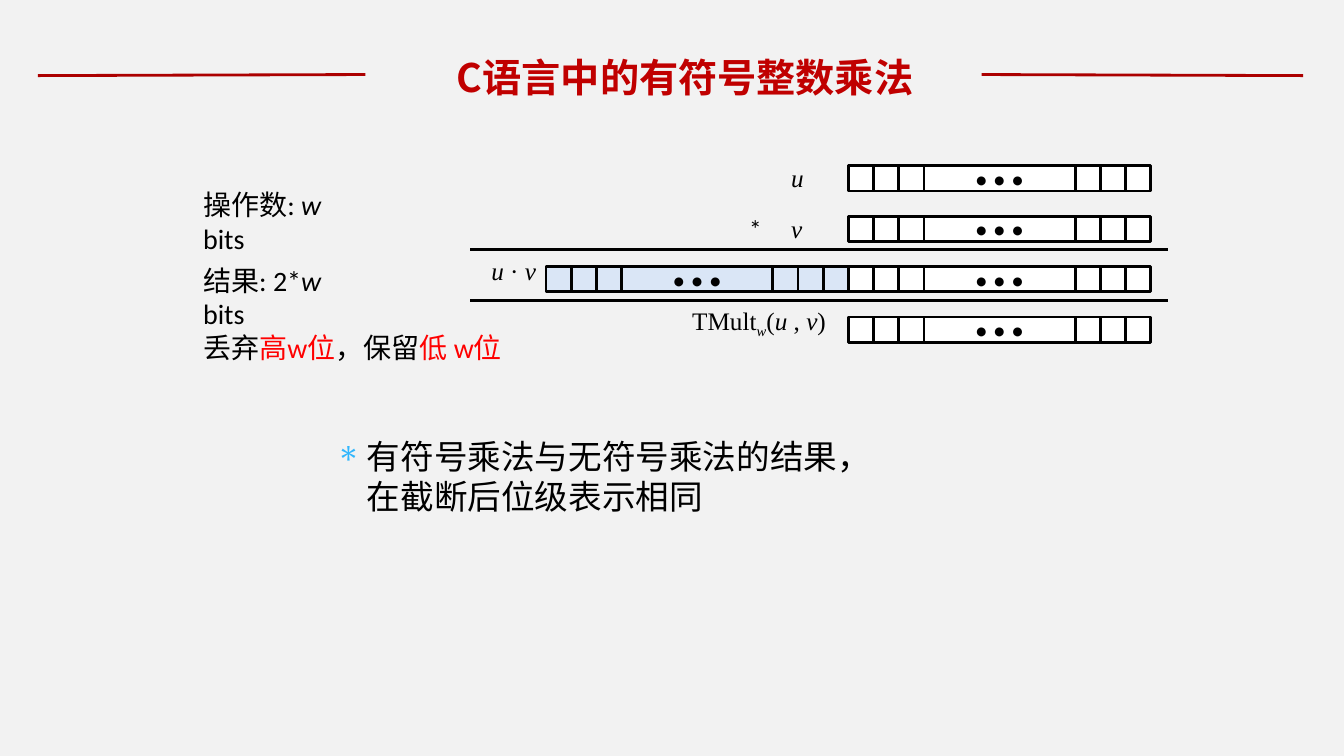
from dataclasses import dataclass

from lxml import etree
from pptx import Presentation
from pptx.dml.color import RGBColor
from pptx.enum.shapes import MSO_CONNECTOR, MSO_SHAPE
from pptx.enum.text import MSO_ANCHOR, PP_ALIGN
from pptx.oxml.ns import qn
from pptx.util import Emu, Pt

LEFT, CENTER, RIGHT = PP_ALIGN.LEFT, PP_ALIGN.CENTER, PP_ALIGN.RIGHT
TOP, MIDDLE = MSO_ANCHOR.TOP, MSO_ANCHOR.MIDDLE
RECTANGLE, STRAIGHT = MSO_SHAPE.RECTANGLE, MSO_CONNECTOR.STRAIGHT
PX = 9525


@dataclass(frozen=True)
class Theme:
    background: str = "F2F2F2"
    title: str = "C00000"
    rule: str = "AC0000"
    ink: str = "000000"
    accent: str = "FF0000"
    bullet: str = "31B6FD"
    low_bits: str = "FFFFFF"
    high_bits: str = "DAE6F6"
    sans: str = "Calibri"
    serif: str = "Times New Roman"
    chinese: str = "Noto Sans CJK SC"
    symbol: str = "Symbol"
    title_size: int = 28
    body_size: int = 24
    note_size: int = 20
    label_size: int = 18
    line_width: int = 2


theme = Theme()


def write(shape, spans, size, font=theme.sans, color=theme.ink, bold=False,
          align=LEFT, anchor=TOP, wrap=False):
    """Fill a shape with spans, each a (text, styles) pair; styles may hold i, sub and red."""
    frame = shape.text_frame
    frame.word_wrap = wrap
    frame.vertical_anchor = anchor
    para = frame.paragraphs[0]
    para.alignment = align
    for text, styles in spans:
        span = para.add_run()
        span.text = text
        span.font.size = Pt(size)
        span.font.name = font
        span.font.bold = bold
        span.font.italic = "i" in styles
        span.font.color.rgb = RGBColor.from_string(theme.accent if "red" in styles else color)
        properties = span._r.get_or_add_rPr()
        if "sub" in styles:
            properties.set("baseline", "-25000")
        east_asian = etree.Element(qn("a:ea"), typeface=theme.chinese)
        properties.find(qn("a:latin")).addnext(east_asian)
    return para


deck = Presentation()
deck.slide_width, deck.slide_height = Emu(1280 * PX), Emu(720 * PX)
page = deck.slides.add_slide(deck.slide_layouts[5])
page.background.fill.solid()
page.background.fill.fore_color.rgb = RGBColor.from_string(theme.background)

# Title
title = page.shapes.title
title.left, title.top, title.width, title.height = [Emu(n * PX) for n in (249, 44, 807, 59)]
write(title, [("C语言中的有符号整数乘法", ())], theme.title_size, font=theme.chinese,
      color=theme.title, bold=True, align=CENTER, anchor=MIDDLE, wrap=True)

# Conclusion with its bullet
conclusion = page.shapes.add_textbox(*[Emu(n * PX) for n in (311, 410, 540, 173)])
para = write(conclusion, [("有符号乘法与无符号乘法的结果，在截断后位级表示相同", ())],
             theme.body_size, wrap=True)
para_format = para._p.get_or_add_pPr()
para_format.set("marL", str(29 * PX))
para_format.set("indent", str(-29 * PX))
bullet_color = etree.SubElement(para_format, qn("a:buClr"))
etree.SubElement(bullet_color, qn("a:srgbClr"), val=theme.bullet)
etree.SubElement(para_format, qn("a:buFont"), typeface=theme.symbol)
etree.SubElement(para_format, qn("a:buChar"), char="∗")

# Bit registers: three bits, a wide middle and three bits
CELL, ROW_TOP, ROW_STEP = 24, 158, 48
LOW_LEFT, HIGH_LEFT = 808, 520
registers = [(LOW_LEFT, row, theme.low_bits) for row in range(4)]
registers.append((HIGH_LEFT, 2, theme.high_bits))
MIDDLE_CELL = (3, 6)
cells = [(0, 1), (1, 1), (2, 1), (9, 1), (10, 1), (11, 1), MIDDLE_CELL]
for left, row, fill in registers:
    for cell in cells:
        column, span_count = cell
        box = page.shapes.add_shape(
            RECTANGLE, Emu((left + column * CELL) * PX), Emu((ROW_TOP + row * ROW_STEP) * PX),
            Emu(span_count * CELL * PX), Emu(CELL * PX))
        box.shadow.inherit = False
        box.fill.solid()
        box.fill.fore_color.rgb = RGBColor.from_string(fill)
        box.line.color.rgb = RGBColor.from_string(theme.ink)
        box.line.width = Pt(theme.line_width)
        if cell == MIDDLE_CELL:
            write(box, [("• • •", ())], theme.label_size, align=CENTER, anchor=MIDDLE)

# Operand and result labels
labels = [
    (744, 150, 31, LEFT, theme.serif, [("u", "i")]),
    (744, 198, 31, LEFT, theme.serif, [("v", "i")]),
    (704, 198, 32, LEFT, theme.sans, [("*", ())]),
    (440, 238, 80, RIGHT, theme.serif, [("u ", "i"), ("· ", ()), ("v", "i")]),
    (648, 286, 148, RIGHT, theme.serif,
     [("TMult", ()), ("w", ("i", "sub")), ("(", ()), ("u", "i"), (" , ", ()), ("v", "i"), (")", ())]),
]
for left, top, width, align, font, spans in labels:
    box = page.shapes.add_textbox(*[Emu(n * PX) for n in (left, top, width, 38)])
    write(box, spans, theme.label_size, font=font, align=align)

# Notes on the left
notes = [
    (174, 176, [("操作数: ", ()), ("w", "i"), (" bits", ())]),
    (246, 176, [("结果: 2*", ()), ("w", "i"), (" bits", ())]),
    (310, 374, [("丢弃", ()), ("高w位", ("red",)), ("，保留", ()), ("低 w位", ("red",))]),
]
for top, width, spans in notes:
    box = page.shapes.add_textbox(*[Emu(n * PX) for n in (184, top, width, 42)])
    write(box, spans, theme.note_size, wrap=True)

# Rules of the calculation and beside the title
rules = [
    (448, 238, 1112, 238, theme.ink),
    (448, 286, 1112, 286, theme.ink),
    (36, 72, 348, 71, theme.rule),
    (935, 71, 1241, 72, theme.rule),
]
for *ends, color in rules:
    rule = page.shapes.add_connector(STRAIGHT, *[Emu(n * PX) for n in ends])
    rule.line.color.rgb = RGBColor.from_string(color)
    rule.line.width = Pt(theme.line_width)
    etree.SubElement(rule._element.spPr, qn("a:effectLst"))

deck.save("out.pptx")
